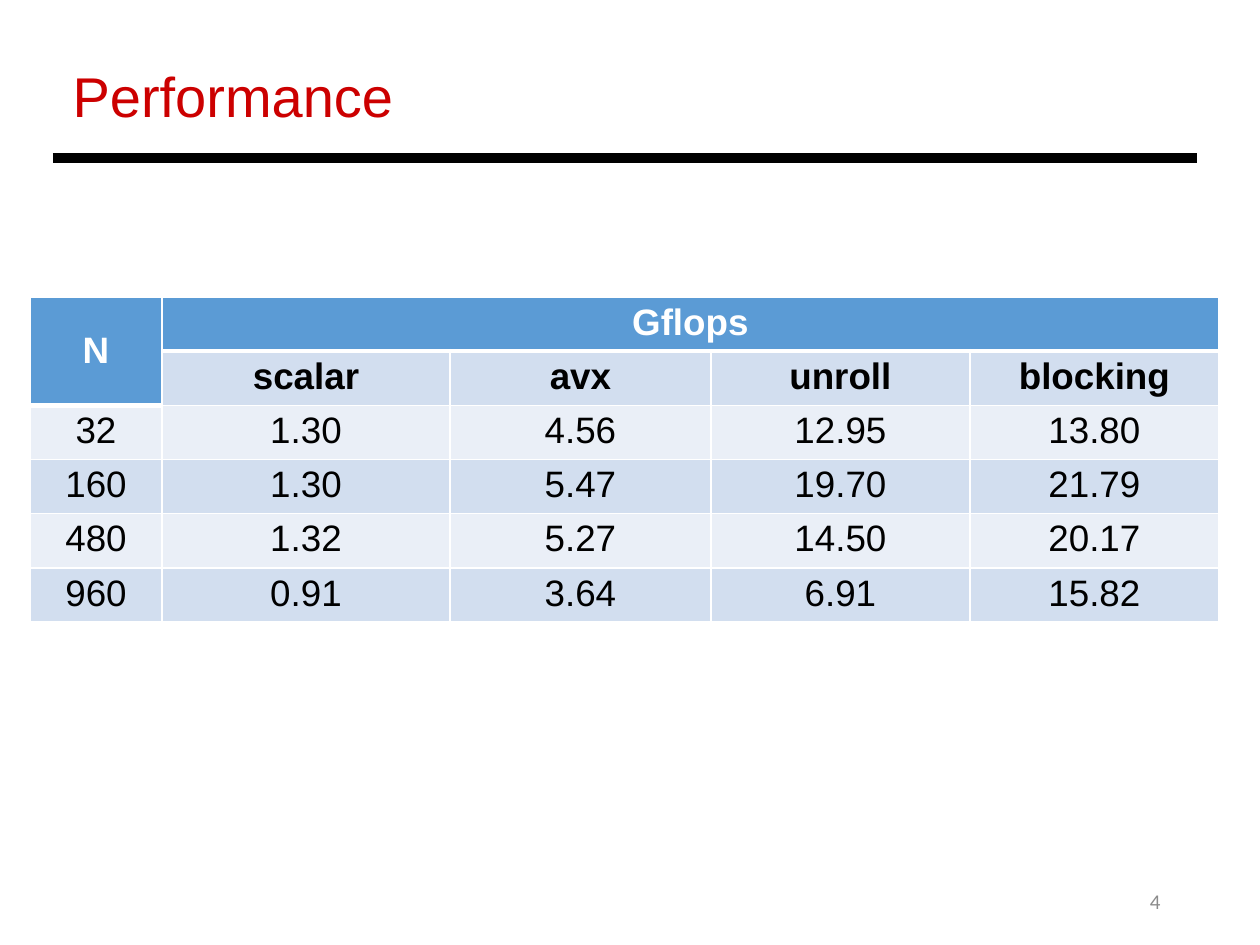
from pptx import Presentation
from pptx import util as u
from pptx.dml.color import RGBColor
from pptx.enum import shapes, text
from pptx.oxml.ns import qn
from lxml import etree

COLORS = {
    "title": "CC0000", "rule": "000000", "number": "8C8C8C", "border": "FFFFFF",
    "header": "5B9BD5", "header_text": "FFFFFF", "cell_text": "000000",
    "band_dark": "D2DEEF", "band_light": "EAEFF7",
}
PX = u.Inches(1) / 126
ROWS = [
    ["N", "Gflops", "", "", ""],
    ["", "scalar", "avx", "unroll", "blocking"],
    ["32", "1.30", "4.56", "12.95", "13.80"],
    ["160", "1.30", "5.47", "19.70", "21.79"],
    ["480", "1.32", "5.27", "14.50", "20.17"],
    ["960", "0.91", "3.64", "6.91", "15.82"],
]
COL_WIDTHS = [132, 288, 261, 259, 249]
ROW_HEIGHTS = [53, 54] * 3


def px(n):
    return u.Emu(round(n * PX))


def rgb(name):
    return RGBColor.from_string(COLORS[name])


class SlideBuilder:
    def __init__(self, prs, font="Arial"):
        self.font = font
        self.slide = prs.slides.add_slide(prs.slide_layouts[5])

    def add_text(self, tf, words, size, color, align, bold=False, font=None):
        p = tf.paragraphs[0]
        p.alignment = align
        r = p.add_run()
        r.text = words
        r.font.name = font or self.font
        r.font.size = u.Pt(size)
        r.font.bold = bold
        r.font.color.rgb = rgb(color)

    def title(self, words, x, y, w, h):
        sp = self.slide.shapes.title
        sp.left, sp.top, sp.width, sp.height = map(px, (x, y, w, h))
        tf = sp.text_frame
        tf.vertical_anchor = text.MSO_ANCHOR.BOTTOM
        self.add_text(tf, words, 32, "title", text.PP_ALIGN.LEFT)

    def page_number(self, words, x, y, w, h):
        tf = self.slide.shapes.add_textbox(*map(px, (x, y, w, h))).text_frame
        tf.word_wrap = True
        tf.vertical_anchor = text.MSO_ANCHOR.MIDDLE
        self.add_text(tf, words, 12, "number", text.PP_ALIGN.RIGHT, font="Calibri")

    def rule(self, x1, x2, y, width):
        line = self.slide.shapes.add_connector(
            shapes.MSO_CONNECTOR.STRAIGHT, px(x1), px(y), px(x2), px(y))
        line.line.color.rgb = rgb("rule")
        line.line.width = u.Pt(width)
        etree.SubElement(line._element.spPr, qn("a:effectLst"))

    def border(self, cell, side, width):
        ln = etree.SubElement(cell._tc.get_or_add_tcPr(), qn("a:ln" + side),
                              w=str(u.Pt(width)))
        fill = etree.SubElement(ln, qn("a:solidFill"))
        etree.SubElement(fill, qn("a:srgbClr"), val=COLORS["border"])

    def table(self, rows, x, y, widths, heights):
        frame = self.slide.shapes.add_table(
            len(rows), len(widths), px(x), px(y), px(sum(widths)), px(sum(heights)))
        table = frame.table
        table.first_row = table.horz_banding = False
        for column, width in zip(table.columns, widths):
            column.width = px(width)
        for row, height in zip(table.rows, heights):
            row.height = px(height)
        table.cell(0, 0).merge(table.cell(1, 0))
        table.cell(0, 1).merge(table.cell(0, len(widths) - 1))
        for i, row in enumerate(rows):
            for j, words in enumerate(row):
                self.cell(table.cell(i, j), words, i, j)

    def cell(self, cell, words, i, j):
        """Style one cell; the first column's header is two rows tall."""
        header_rows = 2 if j == 0 else 1
        is_header = i < header_rows
        self.border(cell, "L", 1)
        self.border(cell, "R", 1)
        self.border(cell, "T", 3 if i == header_rows else 1)
        self.border(cell, "B", 3 if is_header else 1)
        band = "band_dark" if i % 2 else "band_light"
        cell.fill.solid()
        cell.fill.fore_color.rgb = rgb("header" if is_header else band)
        cell.margin_left = cell.margin_right = u.Inches(0.1)
        cell.margin_top = cell.margin_bottom = u.Inches(0.04)
        if j == 0 and is_header:
            cell.vertical_anchor = text.MSO_ANCHOR.MIDDLE
        if words:
            self.add_text(cell.text_frame, words, 21,
                          "header_text" if is_header else "cell_text",
                          text.PP_ALIGN.CENTER, bold=i < 2)


def main():
    prs = Presentation()
    prs.slide_width, prs.slide_height = u.Inches(10), u.Inches(7.5)
    s = SlideBuilder(prs)
    s.page_number("4", 890, 876, 283, 50)
    s.title("Performance", 60, 54, 970, 81)
    s.rule(53, 1197, 158, 6)
    s.table(ROWS, 30, 297, COL_WIDTHS, ROW_HEIGHTS)
    prs.save("out.pptx")


if __name__ == "__main__":
    main()
